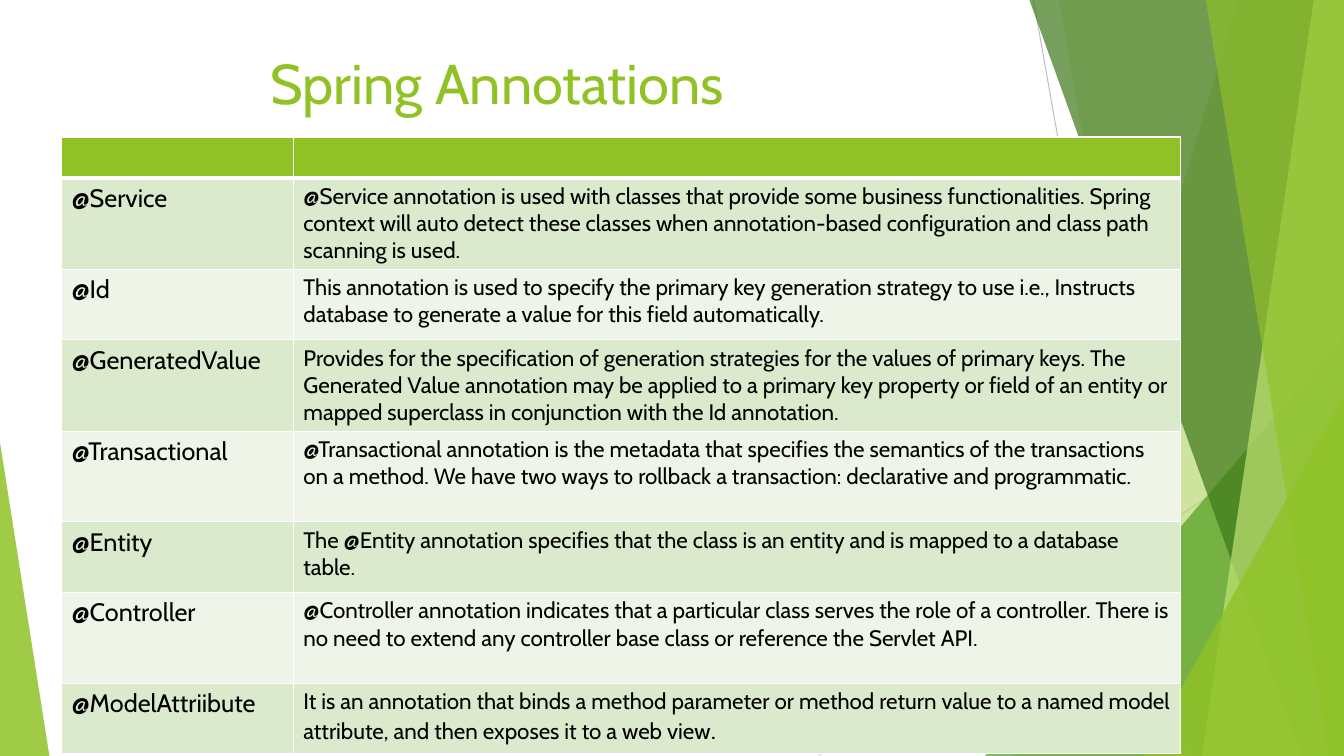
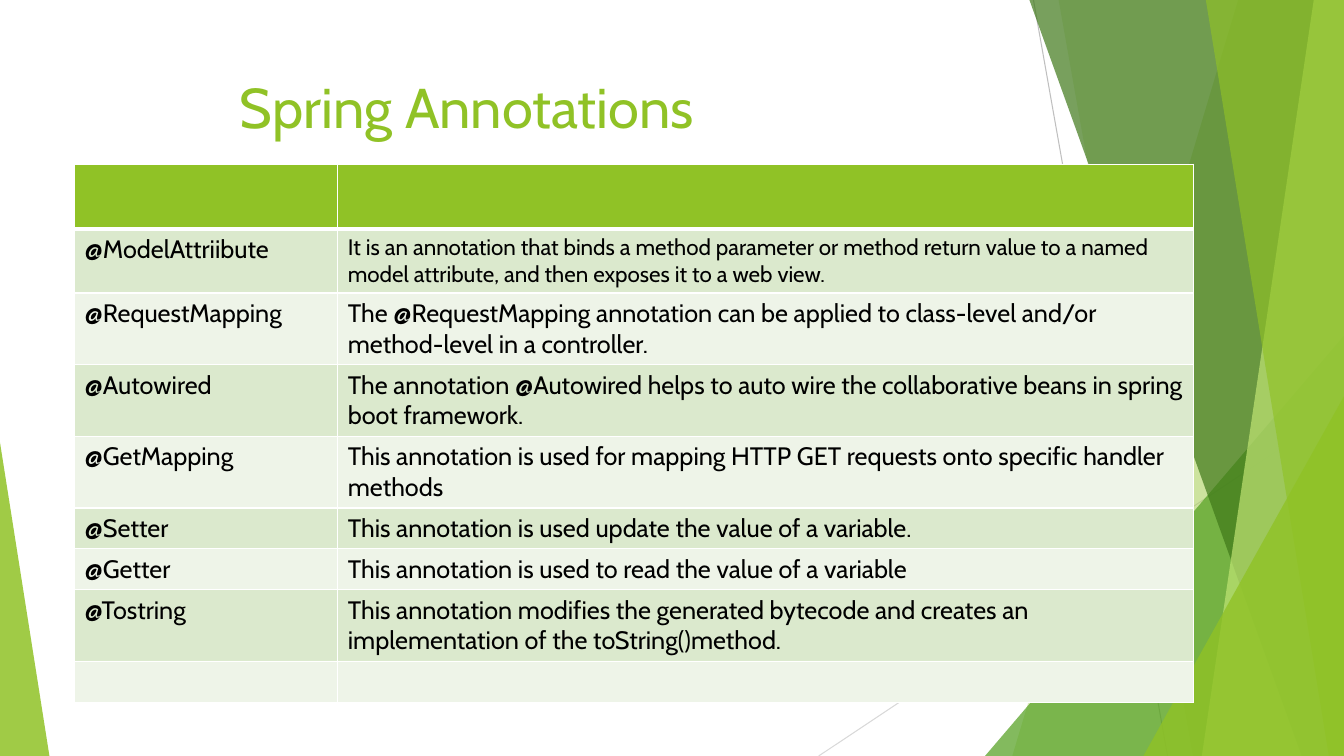
from dataclasses import dataclass

from lxml.etree import SubElement
from pptx import Presentation
from pptx.dml.color import RGBColor as Color
from pptx.enum.shapes import MSO_CONNECTOR as Connector, MSO_SHAPE as Preset
from pptx.enum.text import MSO_ANCHOR as Anchor, PP_ALIGN as Align
from pptx.oxml import parse_xml
from pptx.oxml.ns import nsdecls, qn
from pptx.util import Inches, Pt


@dataclass(frozen=True)
class Theme:
    font: str = "Cabin"
    green: str = "90C226"
    leaf: str = "54A021"
    forest: str = "3F7819"
    lime: str = "C0E474"
    gray: str = "BFBFBF"
    light_gray: str = "D9D9D9"
    white: str = "FFFFFF"
    black: str = "000000"
    bands: tuple = ("DBE9CD", "EEF4E8")
    title: int = 40
    large: int = 18
    body: int = 16


theme = Theme()
WIDTH, HEIGHT = 13.33, 7.5
TABLE_WIDTH = 11.1


def paint(shape, color, opacity):
    """Give the shape a see-through fill without outline or shadow."""
    shape.shadow.inherit = False
    shape.fill.solid()
    shape.fill.fore_color.rgb = Color.from_string(color)
    color_node = shape.element.find(".//" + qn("a:srgbClr"))
    SubElement(color_node, qn("a:alpha"), val=str(opacity * 1000))
    shape.line.fill.background()


def add_border(cell, side, points):
    """Add one white edge; call in the order L, R, T, B before filling the cell."""
    cell.fill.background()
    border = parse_xml(
        f'<a:ln{side} {nsdecls("a")} w="{Pt(points)}"><a:solidFill>'
        f'<a:srgbClr val="{theme.white}"/></a:solidFill></a:ln{side}>'
    )
    cell.fill.background()
    properties = cell._tc.get_or_add_tcPr()
    properties.insert(len(properties) - 1, border)


# Each page: title top, title height, title indent, table left, table top,
# first column width, header height, rows of (height, name, text runs).
pages = [
    (0.43, 0.92, 1.94, 0.61, 1.36, 2.3, 0.4, [
        (0.9, "@Service", [(
            "@Service annotation is used with classes that provide some business "
            "functionalities. Spring context will auto detect these classes when "
            "annotation-based configuration and class path scanning is used.", theme.body)]),
        (0.7, "@Id", [(
            "This annotation is used to specify the primary key generation strategy to use "
            "i.e., Instructs database to generate a value for this field automatically.",
            theme.body)]),
        (0.9, "@GeneratedValue", [(
            "Provides for the specification of generation strategies for the values of "
            "primary keys. The Generated Value annotation may be applied to a primary key "
            "property or field of an entity or mapped superclass in conjunction with the "
            "Id annotation.", theme.body)]),
        (0.9, "@Transactional", [(
            "@Transactional annotation is the metadata that specifies the semantics of the "
            "transactions on a method. We have two ways to rollback a transaction: "
            "declarative and programmatic.", theme.body)]),
        (0.7, "@Entity", [(
            "The @Entity annotation specifies that the class is an entity and is mapped to "
            "a database table.", theme.body)]),
        (0.9, "@Controller", [(
            "@Controller annotation indicates that a particular class serves the role of a "
            "controller. There is no need to extend any controller base class or reference "
            "the Servlet API.", theme.body)]),
        (0.7, "@ModelAttriibute", [(
            "It is an annotation that binds a method parameter or method return value to a "
            "named model attribute, and then exposes it to a web view", theme.body),
            (".", theme.large)]),
    ]),
    (0.67, 1.12, 1.64, 0.74, 1.63, 2.61, 0.64, [
        (0.61, "@ModelAttriibute", [(
            "It is an annotation that binds a method parameter or method return value to a "
            "named model attribute, and then exposes it to a web view.", theme.body)]),
        (0.71, "@RequestMapping", [(
            "The @RequestMapping annotation can be applied to class-level and/or "
            "method-level in a controller.", theme.large)]),
        (0.71, "@Autowired", [(
            "The annotation @Autowired helps to auto wire the collaborative beans in spring "
            "boot framework.", theme.large)]),
        (0.71, "@GetMapping", [(
            "This annotation is used for mapping HTTP GET requests onto specific handler "
            "methods", theme.large)]),
        (0.4, "@Setter", [(
            "This annotation is used update the value of a variable.", theme.large)]),
        (0.4, "@Getter", [(
            "This annotation is used to read the value of a variable", theme.large)]),
        (0.71, "@Tostring", [(
            "This annotation modifies the generated bytecode and creates an implementation "
            "of the toString()method.", theme.large)]),
        (0.4, "", []),
    ]),
]

deck = Presentation()
deck.slide_width, deck.slide_height = Inches(WIDTH), Inches(HEIGHT)
layout = deck.slide_layouts.get_by_name("Title Only")
slides = [deck.slides.add_slide(layout) for _ in pages]

# The backdrop is drawn as a group and then moved to the shared layout.
backdrop = slides[0].shapes.add_group_shape()
for start, end, color in [
    ((10.25, 0), (11.58, HEIGHT), theme.gray),
    ((WIDTH, 4.03), (8.12, HEIGHT), theme.light_gray),
]:
    line = backdrop.shapes.add_connector(
        Connector.STRAIGHT, *(Inches(value) for value in start + end))
    line.line.color.rgb = Color.from_string(color)
    line.line.width = Pt(0.75)
    SubElement(line.element.spPr, qn("a:effectLst"))

# Bands reach the right edge: (top left, bottom left, color, opacity).
# Triangles stand on the bottom edge: (left, top, width, peak, color, opacity).
for facet in [
    (12.28, 10.04, theme.green, 30),
    (10.5, 11.83, theme.green, 20),
    (9.77, 3.33, 3.56, 1, theme.leaf, 72),
    (10.21, 12.91, theme.forest, 70),
    (13.03, 11.92, theme.lime, 70),
    (11.96, 13.18, theme.green, 65),
    (11.34, 3.93, 1.99, 1, theme.green, 80),
    (0, 4.39, 0.49, 0, theme.green, 85),
]:
    *geometry, color, opacity = facet
    if len(geometry) == 2:
        upper, lower = geometry
        outline = backdrop.shapes.build_freeform(Inches(upper), 0)
        outline.add_line_segments([
            (Inches(x), Inches(y))
            for x, y in [(WIDTH, 0), (WIDTH, HEIGHT), (lower, HEIGHT)]
        ], close=True)
        shape = outline.convert_to_shape()
    else:
        left, top, width, peak = geometry
        shape = backdrop.shapes.add_shape(
            Preset.ISOSCELES_TRIANGLE, Inches(left), Inches(top),
            Inches(width), Inches(HEIGHT - top))
        shape.adjustments[0] = peak
    paint(shape, color, opacity)
layout.shapes.element.insert(2, backdrop.element)

for page, settings in zip(slides, pages):
    (title_top, title_height, indent, table_left, table_top,
     name_width, header_height, rows) = settings

    title = page.shapes.title
    title.left, title.top = Inches(0.74), Inches(title_top)
    title.width, title.height = Inches(9.4), Inches(title_height)
    frame = title.text_frame
    frame.text = "Spring Annotations"
    frame.margin_left = Inches(indent)
    frame.vertical_anchor = Anchor.TOP
    para = frame.paragraphs[0]
    para.alignment = Align.LEFT
    font = para.runs[0].font
    font.name, font.size = theme.font, Pt(theme.title)
    font.color.rgb = Color.from_string(theme.green)

    all_rows = [(header_height, "", [])] + rows
    table = page.shapes.add_table(
        len(all_rows), 2, Inches(table_left), Inches(table_top), Inches(TABLE_WIDTH),
        Inches(sum(height for height, _, _ in all_rows))).table
    table.columns[0].width = Inches(name_width)
    table.columns[1].width = Inches(TABLE_WIDTH - name_width)

    for index, (height, name, description) in enumerate(all_rows):
        table.rows[index].height = Inches(height)
        fill = theme.bands[(index - 1) % 2] if index else theme.green
        name_runs = [(name, theme.large)] if name else []
        for cell, runs in zip(table.rows[index].cells, (name_runs, description)):
            top_weight = 3 if index == 1 else 1
            bottom_weight = 3 if index == 0 else 1
            for side, weight in zip("LRTB", (1, 1, top_weight, bottom_weight)):
                add_border(cell, side, weight)
            cell.fill.solid()
            cell.fill.fore_color.rgb = Color.from_string(fill)
            para = cell.text_frame.paragraphs[0]
            para.font.name, para.font.size = theme.font, Pt(theme.large)
            for text, size in runs:
                span = para.add_run()
                span.text = text
                span.font.name, span.font.size = theme.font, Pt(size)
                span.font.color.rgb = Color.from_string(theme.black)

deck.save("out.pptx")
